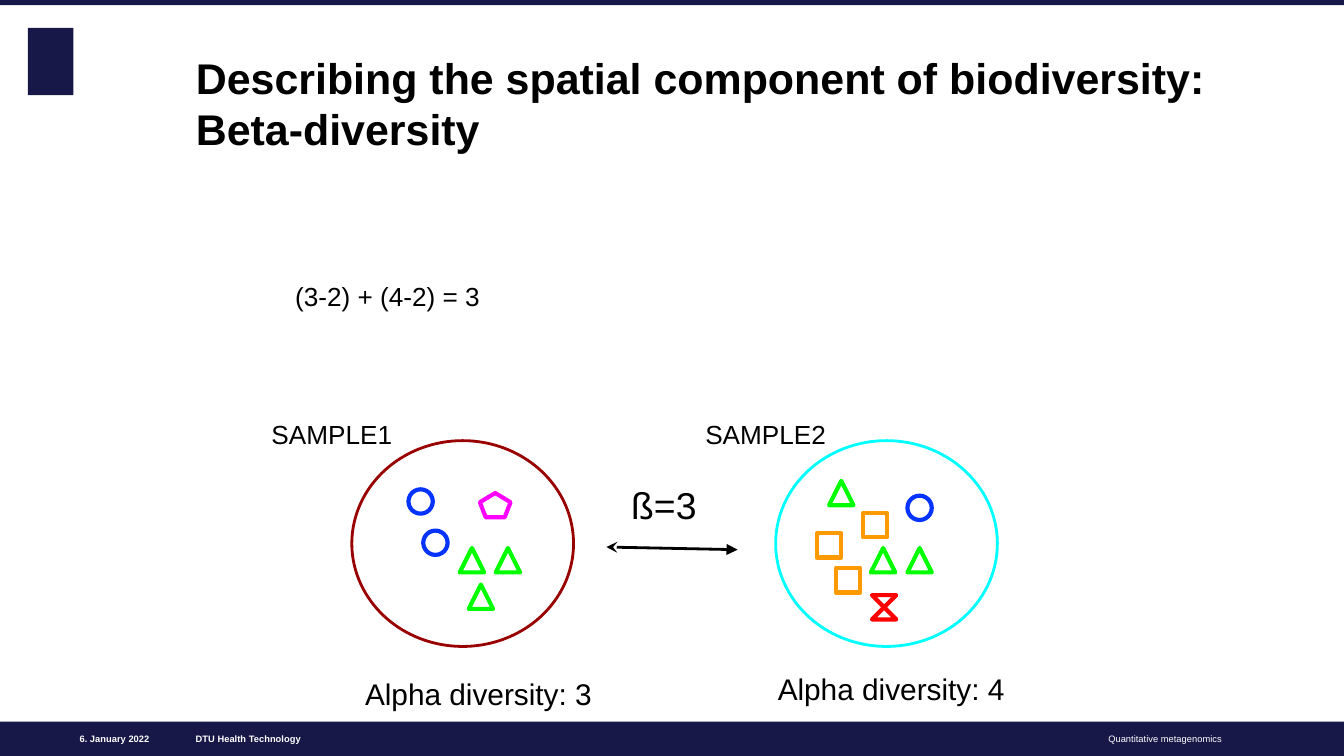
from dataclasses import dataclass

from lxml.etree import SubElement
from pptx import Presentation
from pptx.dml.color import RGBColor
from pptx.enum.shapes import MSO_CONNECTOR, MSO_SHAPE
from pptx.enum.text import MSO_ANCHOR, MSO_AUTO_SIZE, PP_ALIGN
from pptx.oxml.ns import qn
from pptx.util import Cm, Pt

COLORS = {
    "navy": "171748", "white": "FFFFFF", "black": "000000",
    "maroon": "990000", "cyan": "00FFFF", "blue": "0433FF",
    "magenta": "FF00FF", "green": "00FF00", "orange": "FF9900", "red": "FF0000",
}
FONT = "Arial"
SLIDE_WIDTH, SLIDE_HEIGHT = 25.4, 14.29
FOOTER_TOP, FOOTER_HEIGHT = 13.64, 0.65
ICON = 0.46


@dataclass
class Species:
    preset: MSO_SHAPE
    color: str
    places: list[tuple[float, float]]
    width: float = ICON


@dataclass
class Sample:
    left: float
    color: str
    species: list[Species]


@dataclass
class Label:
    text: str
    left: float
    top: float
    width: float
    height: float
    size: float
    color: str = "black"
    bold: bool = False
    align: PP_ALIGN = PP_ALIGN.LEFT
    anchor: MSO_ANCHOR = MSO_ANCHOR.TOP
    inset: float = 0.25


def rgb(name: str) -> RGBColor:
    return RGBColor.from_string(COLORS[name])


def add_run(paragraph, text: str, size: float, color: str, bold: bool) -> None:
    run = paragraph.add_run()
    run.text = text
    run.font.name = FONT
    run.font.size = Pt(size)
    run.font.bold = bold
    run.font.color.rgb = rgb(color)


def set_frame(frame, inset: float, anchor: MSO_ANCHOR) -> None:
    frame.margin_left = frame.margin_right = Cm(inset)
    frame.margin_top = frame.margin_bottom = Cm(inset)
    frame.vertical_anchor = anchor
    frame.word_wrap = True
    frame.auto_size = MSO_AUTO_SIZE.NONE


def add_label(slide, label: Label) -> None:
    box = slide.shapes.add_textbox(
        Cm(label.left), Cm(label.top), Cm(label.width), Cm(label.height))
    set_frame(box.text_frame, label.inset, label.anchor)
    paragraph = box.text_frame.paragraphs[0]
    paragraph.alignment = label.align
    add_run(paragraph, label.text, label.size, label.color, label.bold)


def add_figure(slide, preset: MSO_SHAPE, left: float, top: float, width: float,
               height: float, fill: str, line: str = "", weight: float = 0) -> None:
    shape = slide.shapes.add_shape(preset, Cm(left), Cm(top), Cm(width), Cm(height))
    shape.shadow.inherit = False
    shape.fill.solid()
    shape.fill.fore_color.rgb = rgb(fill)
    if line:
        shape.line.color.rgb = rgb(line)
        shape.line.width = Pt(weight)
    else:
        shape.line.fill.background()


def add_sample(slide, sample: Sample) -> None:
    add_figure(slide, MSO_SHAPE.OVAL, sample.left, 8.33, 4.19, 3.89,
               "white", sample.color, 1.5)
    for species in sample.species:
        for left, top in species.places:
            add_figure(slide, species.preset, left, top, species.width, ICON,
                       "white", species.color, 2.25)


def add_double_arrow(slide, start: tuple[float, float], end: tuple[float, float]) -> None:
    arrow = slide.shapes.add_connector(
        MSO_CONNECTOR.STRAIGHT, Cm(start[0]), Cm(start[1]), Cm(end[0]), Cm(end[1]))
    arrow.line.color.rgb = rgb("black")
    arrow.line.width = Pt(1.5)
    properties = arrow._element.spPr
    line = properties.find(qn("a:ln"))
    SubElement(line, qn("a:headEnd"), type="stealth")
    SubElement(line, qn("a:tailEnd"), type="triangle")
    SubElement(properties, qn("a:effectLst"))


def fill_title(title, lines: list[str]) -> None:
    title.left, title.top = Cm(3.7), Cm(0.89)
    title.width, title.height = Cm(19.4), Cm(2.03)
    set_frame(title.text_frame, 0, MSO_ANCHOR.BOTTOM)
    paragraph = title.text_frame.paragraphs[0]
    paragraph.alignment = PP_ALIGN.LEFT
    for index, line in enumerate(lines):
        if index:
            paragraph.add_line_break()
        add_run(paragraph, line, 23, "black", True)


def footer_label(text: str, left: float, width: float, bold: bool,
                 align: PP_ALIGN) -> Label:
    return Label(text, left, FOOTER_TOP, width, FOOTER_HEIGHT, 5, "white", bold,
                 align, MSO_ANCHOR.MIDDLE, 0)


SAMPLES = [
    Sample(6.65, "maroon", [
        Species(MSO_SHAPE.OVAL, "blue", [(7.72, 9.25), (8, 10.03)]),
        Species(MSO_SHAPE.REGULAR_PENTAGON, "magenta", [(9.07, 9.32)], 0.58),
        Species(MSO_SHAPE.FLOWCHART_EXTRACT, "green",
                [(9.37, 10.36), (8.69, 10.36), (8.86, 11.05)]),
    ]),
    Sample(14.66, "cyan", [
        Species(MSO_SHAPE.OVAL, "blue", [(17.15, 9.37)]),
        Species(MSO_SHAPE.FLOWCHART_EXTRACT, "green",
                [(15.67, 9.09), (16.46, 10.36), (17.15, 10.36)]),
        Species(MSO_SHAPE.RECTANGLE, "orange",
                [(15.44, 10.08), (15.8, 10.74), (16.31, 9.7)]),
        Species(MSO_SHAPE.FLOWCHART_COLLATE, "red", [(16.48, 11.25)]),
    ]),
]

LABELS = [
    footer_label("DTU Health Technology", 3.7, 7.09, True, PP_ALIGN.LEFT),
    footer_label("6. January 2022", 0.53, 2.3, True, PP_ALIGN.RIGHT),
    footer_label("Quantitative metagenomics", 11.65, 11.45, False, PP_ALIGN.RIGHT),
    Label("Alpha diversity: 3", 6.65, 12.52, 6.2, 1.19, 16),
    Label("Alpha diversity: 4", 14.45, 12.42, 6.2, 1.19, 16),
    Label("SAMPLE1", 4.88, 7.65, 3.12, 1.12, 14),
    Label("SAMPLE2", 13.08, 7.65, 3.12, 1.12, 14),
    Label("ß=3", 11.68, 8.86, 2.49, 1.37, 20),
    Label("(3-2) + (4-2) = 3", 5.33, 5.05, 9.27, 1.12, 14),
]


def main() -> None:
    presentation = Presentation()
    presentation.slide_width = Cm(SLIDE_WIDTH)
    presentation.slide_height = Cm(SLIDE_HEIGHT)
    slide = presentation.slides.add_slide(presentation.slide_layouts[5])

    # Emblem block, footer band and top band
    for left, top, width, height in [
        (0.53, 0.53, 0.86, 1.27),
        (0, FOOTER_TOP, SLIDE_WIDTH, FOOTER_HEIGHT),
        (0, 0, SLIDE_WIDTH, 0.1),
    ]:
        add_figure(slide, MSO_SHAPE.RECTANGLE, left, top, width, height, "navy")

    # Title
    fill_title(slide.shapes.title,
               ["Describing the spatial component of biodiversity:", "Beta-diversity"])

    # Samples with their species, and the arrow between them
    for sample in SAMPLES:
        add_sample(slide, sample)
    add_double_arrow(slide, (11.46, 10.34), (13.94, 10.39))

    # Footer texts, sample captions and formulas
    for label in LABELS:
        add_label(slide, label)

    presentation.save("out.pptx")


if __name__ == "__main__":
    main()
